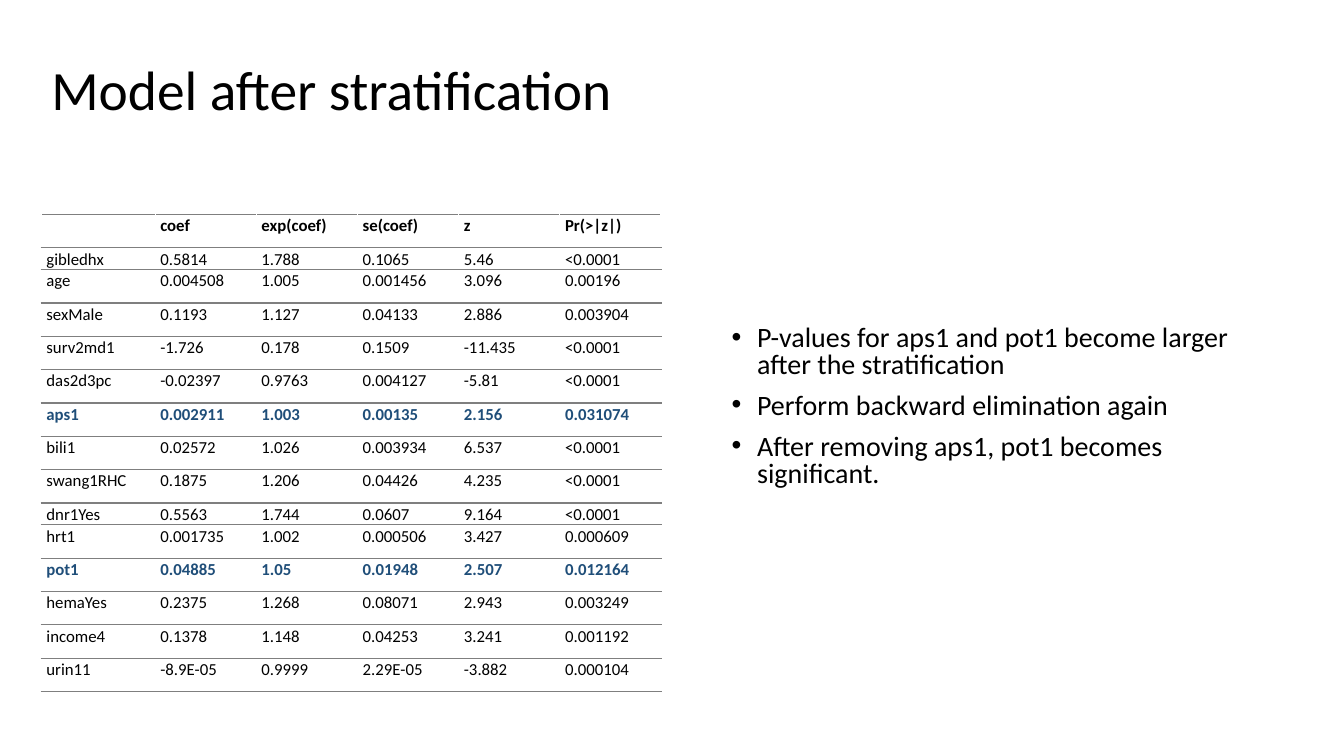
from lxml.etree import SubElement
from pptx import Presentation
from pptx.dml.color import RGBColor
from pptx.enum.text import MSO_ANCHOR, MSO_AUTO_SIZE, PP_ALIGN
from pptx.oxml import parse_xml
from pptx.oxml.ns import nsdecls, qn
from pptx.util import Cm, Pt

BLACK, NAVY, GRAY = "000000", "1F4E79", "7F7F7F"
HEADINGS = ["", "coef", "exp(coef)", "se(coef)", "z", "Pr(>|z|)"]
COEFFICIENTS = [
    ["gibledhx", "0.5814", "1.788", "0.1065", "5.46", "<0.0001"],
    ["age", "0.004508", "1.005", "0.001456", "3.096", "0.00196"],
    ["sexMale", "0.1193", "1.127", "0.04133", "2.886", "0.003904"],
    ["surv2md1", "-1.726", "0.178", "0.1509", "-11.435", "<0.0001"],
    ["das2d3pc", "-0.02397", "0.9763", "0.004127", "-5.81", "<0.0001"],
    ["aps1", "0.002911", "1.003", "0.00135", "2.156", "0.031074"],
    ["bili1", "0.02572", "1.026", "0.003934", "6.537", "<0.0001"],
    ["swang1RHC", "0.1875", "1.206", "0.04426", "4.235", "<0.0001"],
    ["dnr1Yes", "0.5563", "1.744", "0.0607", "9.164", "<0.0001"],
    ["hrt1", "0.001735", "1.002", "0.000506", "3.427", "0.000609"],
    ["pot1", "0.04885", "1.05", "0.01948", "2.507", "0.012164"],
    ["hemaYes", "0.2375", "1.268", "0.08071", "2.943", "0.003249"],
    ["income4", "0.1378", "1.148", "0.04253", "3.241", "0.001192"],
    ["urin11", "-8.9E-05", "0.9999", "2.29E-05", "-3.882", "0.000104"],
]
HIGHLIGHTED = {"aps1", "pot1"}
COMPACT = {"gibledhx", "dnr1Yes"}
FINDINGS = [
    "P-values for aps1 and pot1 become larger after the stratification",
    "Perform backward elimination again",
    "After removing aps1, pot1 becomes significant.",
]


def color(hex_code):
    return RGBColor.from_string(hex_code)


def format_runs(paragraph, size, hex_code=BLACK, bold=False):
    for run in paragraph.runs:
        run.font.name = "Calibri"
        run.font.size = Pt(size)
        run.font.bold = bold
        run.font.color.rgb = color(hex_code)


def rule_cell(cell):
    """Draw thin rules above and below a cell."""
    properties = cell._tc.get_or_add_tcPr()
    for position, side in enumerate(("lnT", "lnB")):
        properties.insert(position, parse_xml(
            f'<a:{side} {nsdecls("a")} w="{Pt(1)}"><a:solidFill>'
            f'<a:srgbClr val="{GRAY}"/></a:solidFill></a:{side}>'))


def add_title(slide, left, top, width, height):
    title = slide.shapes.title
    title.left, title.top, title.width, title.height = left, top, width, height
    frame = title.text_frame
    frame.text = "Model after stratification"
    frame.auto_size = MSO_AUTO_SIZE.NONE
    frame.vertical_anchor = MSO_ANCHOR.MIDDLE
    heading = frame.paragraphs[0]
    heading.alignment = PP_ALIGN.LEFT
    heading.line_spacing = 0.9
    format_runs(heading, 39.6)


def add_coefficients(slide, left, top, width, height):
    rows = [HEADINGS] + COEFFICIENTS
    table = slide.shapes.add_table(
        len(rows), len(HEADINGS), left, top, width, height).table
    table.first_row = table.horz_banding = False

    # Wider column for the variable names, equal columns for the values
    name_width = Cm(2.87)
    value_width = (width - name_width) // (len(HEADINGS) - 1)
    for index, column in enumerate(table.columns):
        column.width = value_width if index else name_width

    for row, values in zip(table.rows, rows):
        name = values[0]
        row.height = Cm(0.46 if name in COMPACT else 0.84)
        emphasized = name in HIGHLIGHTED
        for cell, value in zip(row.cells, values):
            cell.text = value
            cell.margin_left = cell.margin_right = Cm(0.13)
            cell.margin_top = cell.margin_bottom = 0
            cell.fill.background()
            rule_cell(cell)
            entry = cell.text_frame.paragraphs[0]
            entry.line_spacing = 1.07
            format_runs(entry, 12, NAVY if emphasized else BLACK,
                        bold=emphasized or values is HEADINGS)


def add_findings(slide, left, top, width, height):
    frame = slide.shapes.add_textbox(left, top, width, height).text_frame
    frame.word_wrap = True
    frame.text = "\n".join(FINDINGS)
    for finding in frame.paragraphs:
        finding.line_spacing = 0.8
        finding.space_before = Pt(10)
        format_runs(finding, 20)
        # Bullet with hanging indent
        properties = finding._p.get_or_add_pPr()
        properties.set("marL", str(Cm(0.64)))
        properties.set("indent", str(-Cm(0.64)))
        SubElement(properties, qn("a:buFont"), typeface="Arial")
        SubElement(properties, qn("a:buChar"), char="•")


presentation = Presentation()
presentation.slide_width, presentation.slide_height = Cm(33.87), Cm(19.05)
title_only = presentation.slide_layouts[5]
slide = presentation.slides.add_slide(title_only)

add_title(slide, Cm(1.04), Cm(1.45), Cm(29.21), Cm(1.75))
add_coefficients(slide, Cm(1.04), Cm(5.4), Cm(15.62), Cm(11.99))
add_findings(slide, Cm(18.19), Cm(8.1), Cm(14.4), Cm(4.75))

presentation.save("out.pptx")
